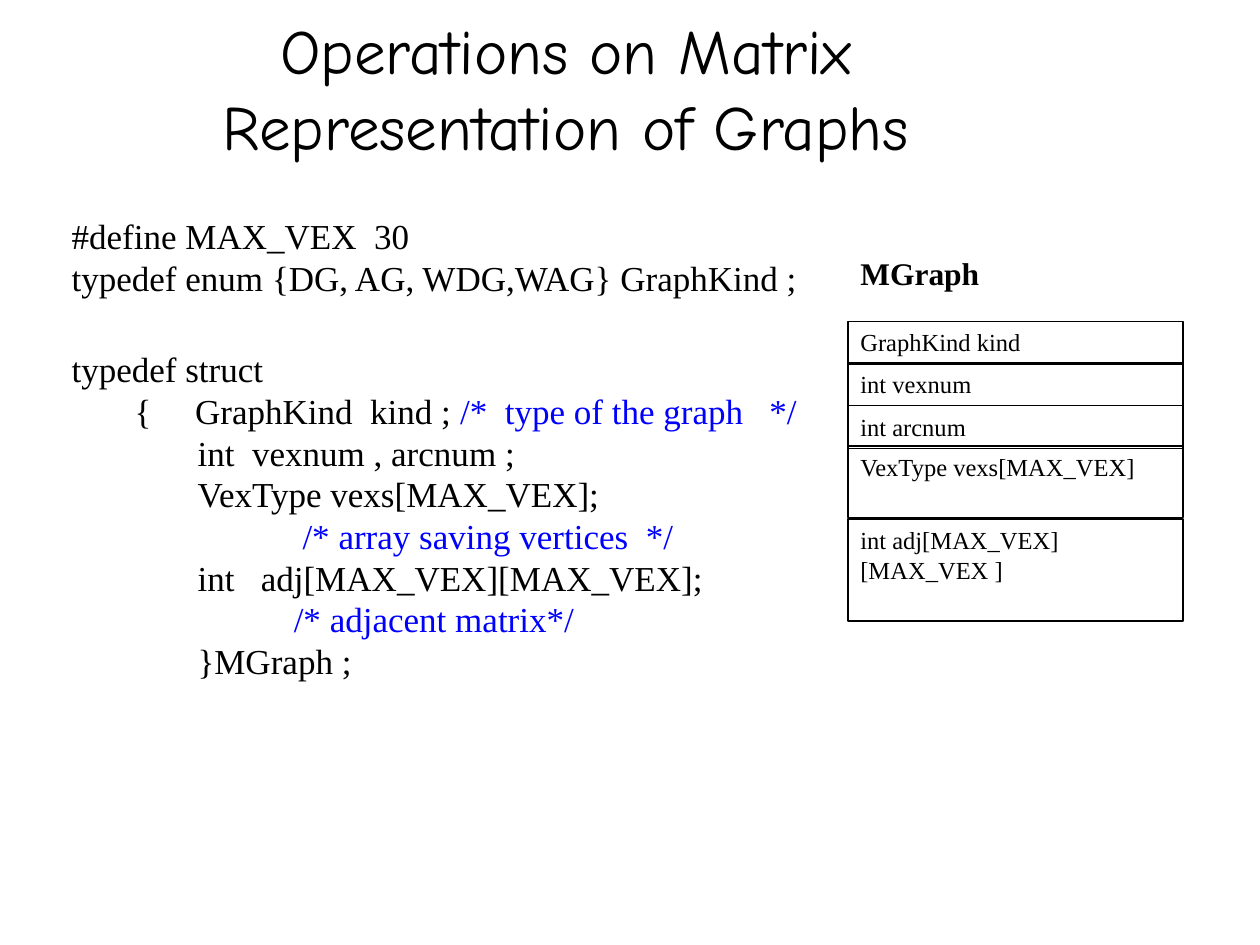
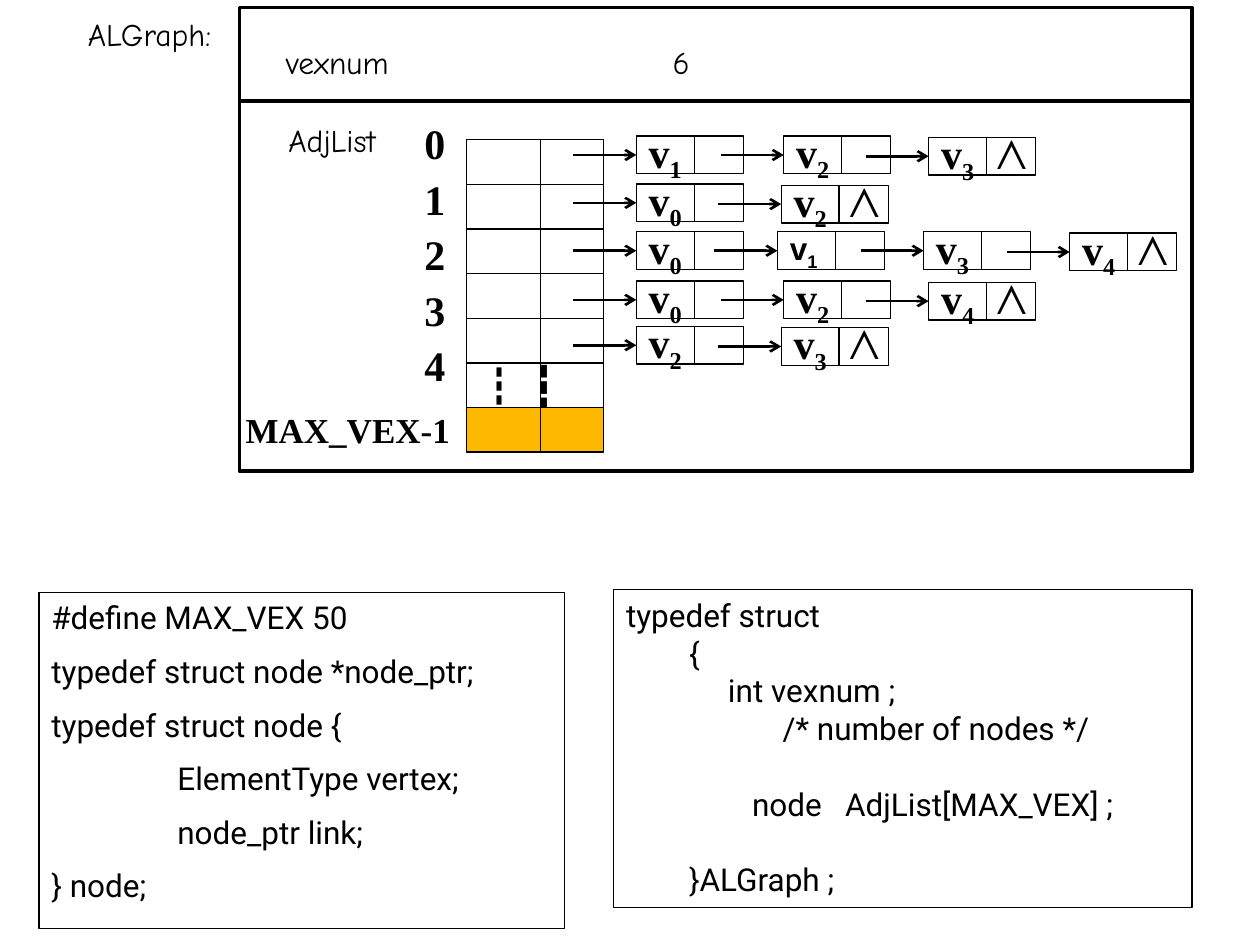
"""Build two slides on matrix and adjacency-list representations of graphs."""
import pptx
import pptx.dml.color
import pptx.enum.shapes
import pptx.enum.text
import pptx.oxml.ns
import pptx.util
from lxml import etree
from pptx.util import Inches

SERIF, COMIC, CODE, CJK = "Times New Roman", "Comic Neue", "Roboto", "Noto Sans CJK SC"
BLACK, BLUE, AMBER = "000000", "0000FF", "FFB800"
TOP, MIDDLE, BOTTOM = (pptx.enum.text.MSO_ANCHOR.TOP, pptx.enum.text.MSO_ANCHOR.MIDDLE,
                       pptx.enum.text.MSO_ANCHOR.BOTTOM)
LEFT, CENTER = pptx.enum.text.PP_ALIGN.LEFT, pptx.enum.text.PP_ALIGN.CENTER

TITLE = "Operations on Matrix Representation of Graphs"
# Each code line holds its indent, its space before and its text or coloured spans.
MATRIX_CODE = [
    (0, 0, "#define MAX_VEX  30"),
    (0, 4.6, "typedef enum {DG, AG, WDG,WAG} GraphKind ;"),
    (0, 32.9, "typedef struct"),
    (0.5, 4.6, [("{     GraphKind  kind ; ", {}), ("/*  type of the graph   */", {"color": BLUE})]),
    (1, 4.6, "int  vexnum , arcnum ;"),
    (1, 4.6, "VexType vexs[MAX_VEX];"),
    (1, 4.6, [("            /* array saving vertices  */", {"color": BLUE})]),
    (1, 4.6, "int   adj[MAX_VEX][MAX_VEX];"),
    (1, 4.6, [("           /* adjacent matrix*/", {"color": BLUE})]),
    (1, 4.6, "}MGraph ;"),
]
MATRIX_FIELDS = [
    (2.55, 0.34, "GraphKind kind"),
    (2.88, 0.34, "int vexnum"),
    (3.22, 0.34, "int arcnum"),
    (3.54, 0.57, "VexType vexs[MAX_VEX]"),
    (4.12, 0.81, "int adj[MAX_VEX][MAX_VEX ]"),
]
NODE_CODE = [
    (0, 0, "#define MAX_VEX 50"),
    (0, 9, "typedef struct node *node_ptr;"),
    (0, 9, "typedef struct node {"),
    (1, 9, "ElementType vertex;"),
    (1, 9, "node_ptr link;"),
    (0, 9, "} node;"),
]
LIST_CODE = [
    (0, 0, "typedef struct"),
    (0.5, 0, "{"),
    (0.5, 0, "     int vexnum ;"),
    (0.5, 0, "            /* number of nodes */"),
    (1, 21.6, "node   AdjList[MAX_VEX] ;"),
    (0.5, 21.6, "}ALGraph ;"),
]
CHAINS = [(1.08, "123"), (1.46, "02"), (1.84, "0134"), (2.23, "024"), (2.59, "23")]
CHAIN_LEFTS = {2: (5.05, 6.2), 3: (5.05, 6.22, 7.37), 4: (5.05, 6.17, 7.33, 8.49)}
SMALL_NODE = (2, 1)
LABELS = [(0.6, 0.07, 1.3, "ALGraph:"), (2.17, 0.29, 6.61, "vexnum\t6"),
          (2.19, 0.91, 1.3, "AdjList")]
CELL_COUNT, CELL_TOP, CELL_HEIGHT = 7, 1.11, 0.354


def rgb(color):
    return pptx.dml.color.RGBColor.from_string(color)


def style(font, size=None, name=None, bold=None, color=None):
    if size:
        font.size = pptx.util.Pt(size)
    if name:
        font.name = name
    if bold is not None:
        font.bold = bold
    if color:
        font.color.rgb = rgb(color)


def write(box, lines, size, name, bold=False, anchor=TOP, wrap=True, align=LEFT,
          spacing=None, tab=None):
    frame = box.text_frame
    frame.word_wrap = wrap
    frame.vertical_anchor = anchor
    for number, (indent, before, content) in enumerate(lines):
        para = frame.paragraphs[0] if number == 0 else frame.add_paragraph()
        para.alignment = align
        if spacing:
            para.line_spacing = spacing
        if before:
            para.space_before = pptx.util.Pt(before)
        properties = para._p.get_or_add_pPr()
        if indent:
            properties.set("marL", str(Inches(indent)))
        if tab:
            stops = etree.SubElement(properties, pptx.oxml.ns.qn("a:tabLst"))
            etree.SubElement(stops, pptx.oxml.ns.qn("a:tab"), pos=str(Inches(tab)), algn="l")
        style(para.font, size, name, bold, BLACK)
        for text, look in [(content, {})] if isinstance(content, str) else content:
            look = dict(look)
            baseline = look.pop("baseline", None)
            span = para.add_run()
            span.text = text
            style(span.font, **look)
            if baseline:
                span._r.get_or_add_rPr().set("baseline", str(baseline))


def add_text(page, place, lines, size, name, **options):
    box = page.shapes.add_textbox(*map(Inches, place))
    write(box, lines, size, name, **options)
    return box


def add_box(page, place, fill=None, width=0.75):
    box = page.shapes.add_shape(pptx.enum.shapes.MSO_SHAPE.RECTANGLE, *map(Inches, place))
    box.shadow.inherit = False
    box.line.color.rgb = rgb(BLACK)
    box.line.width = pptx.util.Pt(width)
    if fill:
        box.fill.solid()
        box.fill.fore_color.rgb = rgb(fill)
    else:
        box.fill.background()
    return box


def add_line(page, start, end, width=0.75):
    line = page.shapes.add_connector(pptx.enum.shapes.MSO_CONNECTOR.STRAIGHT,
                                     *map(Inches, start + end))
    line.line.color.rgb = rgb(BLACK)
    line.line.width = pptx.util.Pt(width)
    etree.SubElement(line._element.spPr, pptx.oxml.ns.qn("a:effectLst"))
    return line


def add_split_box(page, place, split, fill=None):
    left, top, _, height = place
    box = add_box(page, place, fill)
    add_line(page, (left + split, top), (left + split, top + height))
    return box


def add_arrow(page, node, left, middle):
    arrow = add_line(page, (left - 0.5, middle), (left, middle), 1.5)
    arrow.end_connect(node, 1)
    etree.SubElement(arrow.line._get_or_add_ln(), pptx.oxml.ns.qn("a:tailEnd"), type="arrow")


def add_chain(page, row, top, vertices):
    for column, (left, vertex) in enumerate(zip(CHAIN_LEFTS[len(vertices)], vertices)):
        last = column == len(vertices) - 1
        node_top = top + 0.01 * last
        node = add_split_box(page, (left, node_top, 0.85, 0.3), 0.46)
        spans = [("v", {}), (vertex, {"baseline": -25000})]
        if last:
            spans.append(("\t⋀", {"bold": False}))
        size, name = (18, "Arial") if (row, column) == SMALL_NODE else (24, SERIF)
        write(node, [(0, 0, spans)], size, name, bold=True, anchor=MIDDLE, wrap=False,
              tab=0.44 if last else None)
        add_arrow(page, node, left, node_top + 0.15)


def build_matrix_page(page):
    add_text(page, (0.75, 0.36, 7.48, 0.98), [(0, 0, TITLE)], 36, COMIC,
             anchor=BOTTOM, align=CENTER)
    add_text(page, (0.47, 1.72, 9.36, 4.25), MATRIX_CODE, 20, SERIF, spacing=0.8)
    for top, height, field in MATRIX_FIELDS:
        write(add_box(page, (6.73, top, 2.66, height)), [(0, 0, field)], 14, SERIF)
    add_text(page, (6.73, 1.97, 1.29, 0.4), [(0, 0, "MGraph")], 18, SERIF, bold=True)


def build_list_page(page):
    write(add_box(page, (4.87, 4.68, 4.59, 2.52)), LIST_CODE, 18, CODE)
    write(add_box(page, (0.31, 4.7, 4.17, 2.67)), NODE_CODE, 18, CODE)
    add_text(page, (3.27, 1.1, 0.42, 1.79), [(0, 0, digit) for digit in "01234"], 24, SERIF,
             bold=True, anchor=MIDDLE, wrap=False, spacing=1.1)
    add_text(page, (1.85, 3.26, 1.85, 0.3), [(0, 0, "MAX_VEX-1")], 20, SERIF,
             bold=True, anchor=MIDDLE, wrap=False)
    for index in range(CELL_COUNT):
        place = (3.7, CELL_TOP + index * CELL_HEIGHT, 1.09, CELL_HEIGHT)
        cell = add_split_box(page, place, 0.59, AMBER if index == CELL_COUNT - 1 else None)
        if index == CELL_COUNT - 2:
            dots = [("┇", {"name": CJK}), (" ┇", {"name": SERIF})]
            write(cell, [(0, 0, dots)], 24, None, bold=True, anchor=MIDDLE, wrap=False)
    for row, (top, vertices) in enumerate(CHAINS):
        add_chain(page, row, top, vertices)
    add_box(page, (1.9, 0.06, 7.56, 3.68), width=2)
    add_line(page, (1.9, 0.8), (9.46, 0.8), 2)
    for left, top, width, label in LABELS:
        add_text(page, (left, top, width, 0.4), [(0, 0, label)], 18, COMIC,
                 tab=3.07 if "\t" in label else None)


def main():
    deck = pptx.Presentation()
    deck.slide_width, deck.slide_height = Inches(10), Inches(7.5)
    for build in (build_matrix_page, build_list_page):
        build(deck.slides.add_slide(deck.slide_layouts[6]))
    deck.save("out.pptx")


if __name__ == "__main__":
    main()
